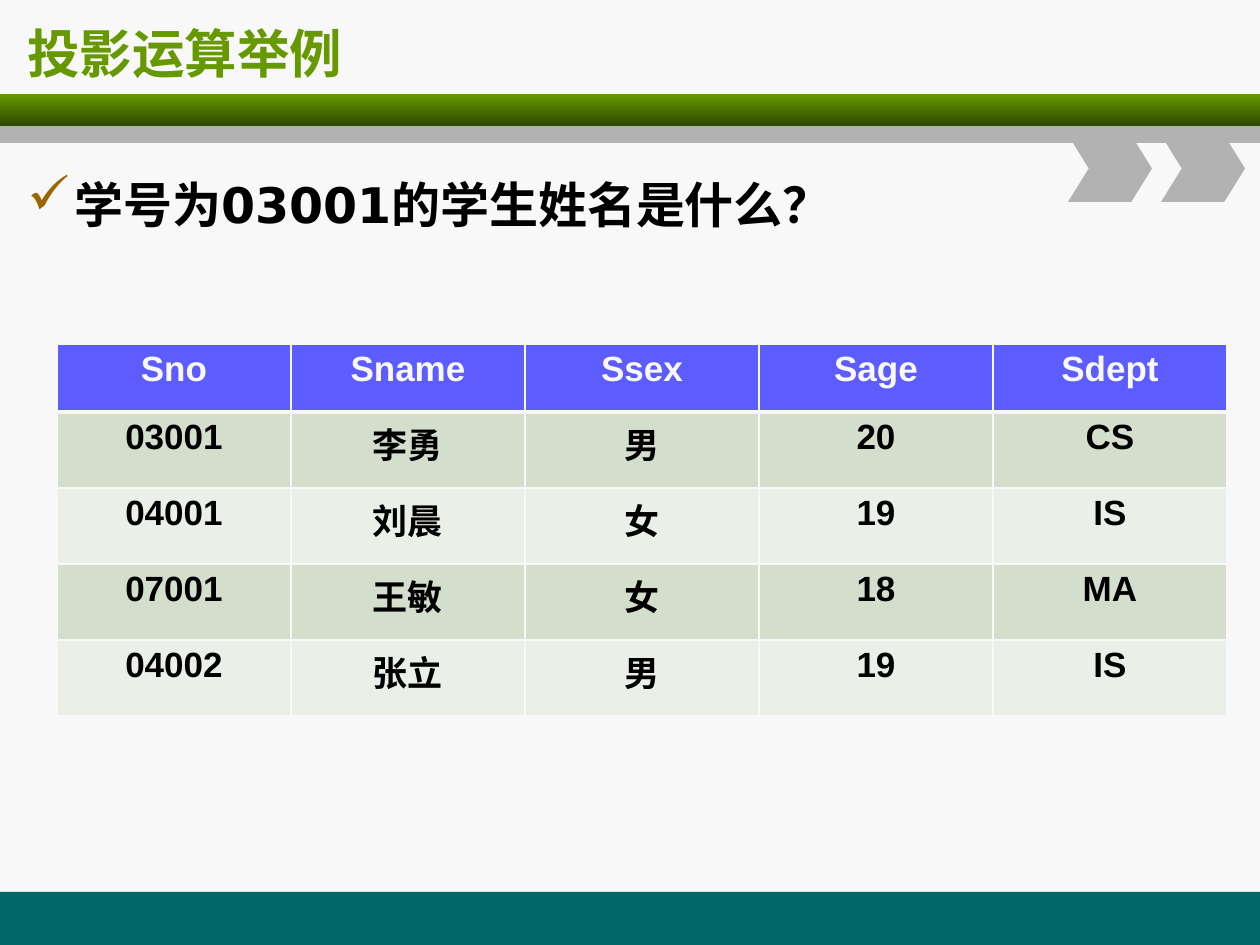
"""Build the slide showing an example of the projection operation."""
from lxml import etree
from pptx import Presentation
from pptx import util as u
from pptx.dml.color import RGBColor
from pptx.enum import shapes, text
from pptx.oxml import ns

PX = 914400 // 126
PAPER = RGBColor(0xF8, 0xF8, 0xF8)
TEAL = RGBColor(0x00, 0x66, 0x66)
GREEN = RGBColor(0x66, 0x99, 0x00)
DARK_GREEN = RGBColor(0x30, 0x48, 0x00)
GREY = RGBColor(0xB2, 0xB2, 0xB2)
BROWN = RGBColor(0x99, 0x66, 0x00)
BLACK = RGBColor(0x00, 0x00, 0x00)
BLUE = RGBColor(0x5C, 0x5C, 0xFF)
SAGE = RGBColor(0xD3, 0xDE, 0xCC)
PALE = RGBColor(0xEA, 0xEF, 0xE7)

STUDENTS = [
    ("Sno", "Sname", "Ssex", "Sage", "Sdept"),
    ("03001", "李勇", "男", "20", "CS"),
    ("04001", "刘晨", "女", "19", "IS"),
    ("07001", "王敏", "女", "18", "MA"),
    ("04002", "张立", "男", "19", "IS"),
]
HEADER_HEIGHT, ROW_HEIGHT, COLUMN_WIDTH = 68, 76, 234


def child(parent, tag, **attributes):
    return etree.SubElement(parent, ns.qn(tag), attributes)


def style(paragraph, size, name, color):
    font = paragraph.font
    font.size, font.name, font.bold = u.Pt(size), name, True
    font.color.rgb = color


prs = Presentation()
prs.slide_width, prs.slide_height = 1260 * PX, 945 * PX
slide = prs.slides.add_slide(prs.slide_layouts[6])
slide.background.fill.solid()
slide.background.fill.fore_color.rgb = PAPER

RECT, CHEVRON = shapes.MSO_SHAPE.RECTANGLE, shapes.MSO_SHAPE.CHEVRON
for kind, left, top, width, height, color in [
    (RECT, 0, 892, 1260, 53, TEAL),
    (RECT, 0, 94, 1260, 32, GREEN),
    (RECT, 0, 126, 1260, 17, GREY),
    (CHEVRON, 1068, 135, 84, 67, GREY),
    (CHEVRON, 1161, 135, 84, 67, GREY),
]:
    band = slide.shapes.add_shape(kind, left * PX, top * PX, width * PX, height * PX)
    band.shadow.inherit = False
    band.line.fill.background()
    if kind == CHEVRON:
        band.adjustments[0] = 0.31
    if color == GREEN:
        band.fill.gradient()
        band.fill.gradient_angle = 270
        for stop, shade in zip(band.fill.gradient_stops, (GREEN, DARK_GREEN)):
            stop.color.rgb = shade
    else:
        band.fill.solid()
        band.fill.fore_color.rgb = color

title = slide.shapes.add_textbox(15 * PX, 5 * PX, 1071 * PX, 95 * PX).text_frame
title.word_wrap = True
title.vertical_anchor = text.MSO_ANCHOR.MIDDLE
title.text = "投影运算举例"
style(title.paragraphs[0], 30, "DejaVu Sans", GREEN)

body = slide.shapes.add_textbox(15 * PX, 168 * PX, 1133 * PX, 171 * PX).text_frame
body.word_wrap = True
body.text = "学号为03001的学生姓名是什么？"
question = body.paragraphs[0]
question.alignment = text.PP_ALIGN.JUSTIFY
bullet = question._p.get_or_add_pPr()
bullet.set("marL", str(47 * PX))
bullet.set("indent", str(-47 * PX))
child(child(bullet, "a:buClr"), "a:srgbClr", val=str(BROWN))
child(bullet, "a:buSzPct", val="110000")
child(bullet, "a:buChar", char="✓")
style(question, 28, "DejaVu Sans", BLACK)

students = slide.shapes.add_table(
    len(STUDENTS), len(STUDENTS[0]), 57 * PX, 344 * PX,
    len(STUDENTS[0]) * COLUMN_WIDTH * PX,
    (HEADER_HEIGHT + (len(STUDENTS) - 1) * ROW_HEIGHT) * PX).table
for column in students.columns:
    column.width = COLUMN_WIDTH * PX

for r, record in enumerate(STUDENTS):
    students.rows[r].height = (ROW_HEIGHT if r else HEADER_HEIGHT) * PX
    for c, value in enumerate(record):
        cell = students.cell(r, c)
        cell.text = value
        entry = cell.text_frame.paragraphs[0]
        entry.alignment = text.PP_ALIGN.CENTER
        style(entry, 20, "Arial", BLACK if r else PAPER)
        for side in "LRTB":
            thick = (r, side) in [(0, "B"), (1, "T")]
            border = child(cell._tc.get_or_add_tcPr(), f"a:ln{side}",
                           w=str(u.Pt(3 if thick else 1)))
            child(child(border, "a:solidFill"), "a:srgbClr", val=str(PAPER))
        cell.fill.solid()
        cell.fill.fore_color.rgb = (SAGE if r % 2 else PALE) if r else BLUE

prs.save("out.pptx")
